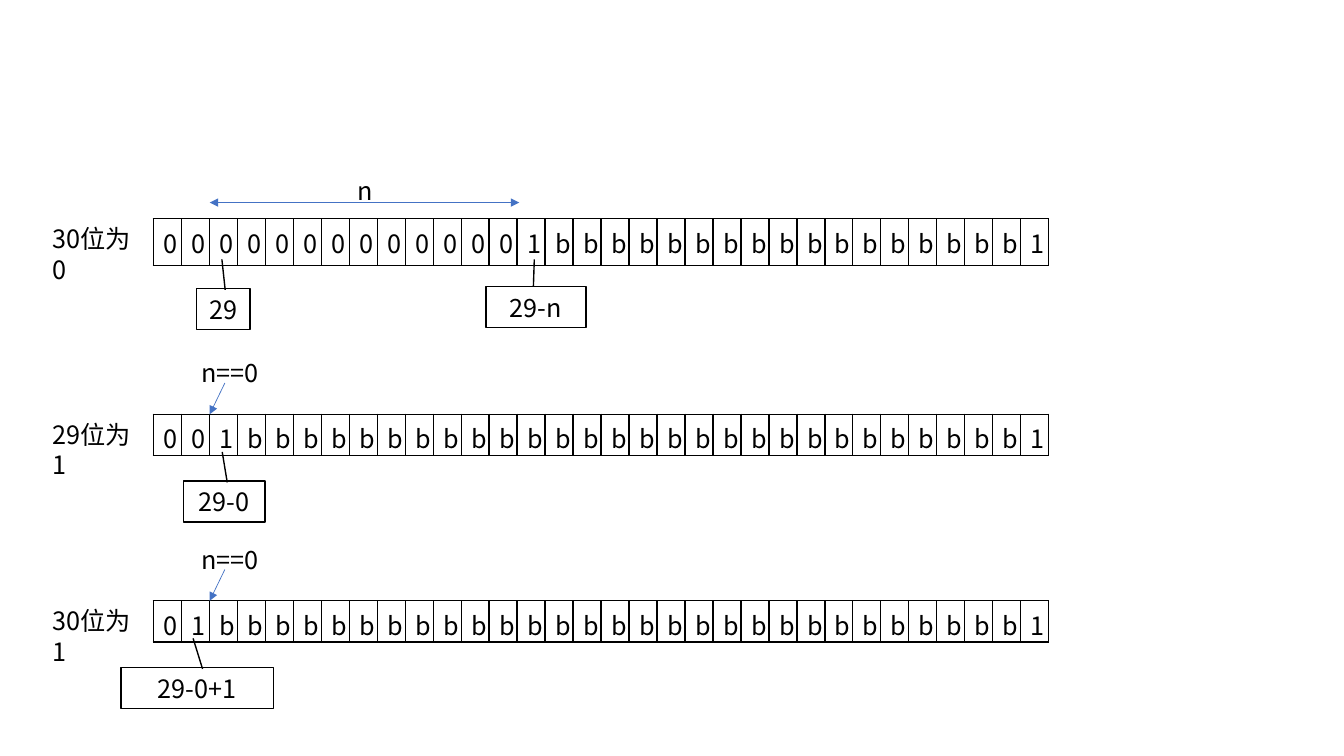
import lxml.etree
import pptx
import pptx.dml.color
import pptx.enum.shapes
import pptx.enum.text
import pptx.oxml.ns
import pptx.util

Inches = pptx.util.Inches
Pt = pptx.util.Pt
qn = pptx.oxml.ns.qn


class BitDiagram:
    """Draws rows of bits with labels, arrows and callouts on one slide."""

    colours = {"ink": "000000", "paper": "FFFFFF", "arrow": "4472C4"}
    font = "Noto Sans CJK SC"
    bit_count = 32

    def __init__(self, slide):
        self.slide = slide

    def colour(self, name):
        return pptx.dml.color.RGBColor.from_string(self.colours[name])

    def set_text(self, frame, text):
        frame.text = text
        for run in frame.paragraphs[0].runs:
            run.font.size = Pt(18)
            run.font.color.rgb = self.colour("ink")
            run.font.name = self.font
            east_asian = lxml.etree.SubElement(run._r.get_or_add_rPr(), qn("a:ea"))
            east_asian.set("typeface", self.font)

    def border(self, cell):
        properties = cell._tc.get_or_add_tcPr()
        for position, side in enumerate(("lnL", "lnR", "lnT", "lnB")):
            edge = lxml.etree.Element(qn(f"a:{side}"), w=str(Pt(1)))
            fill = lxml.etree.SubElement(edge, qn("a:solidFill"))
            lxml.etree.SubElement(fill, qn("a:srgbClr"), val=self.colours["ink"])
            properties.insert(position, edge)

    def bits(self, top, prefix, bottom_margin):
        values = prefix.ljust(self.bit_count - 1, "b") + "1"
        table = self.slide.shapes.add_table(
            1, self.bit_count, Inches(1.52), Inches(top), Inches(8.89), Inches(0.41)
        ).table
        table.first_row = False
        table.horz_banding = False
        for cell, value in zip(table.iter_cells(), values):
            self.set_text(cell.text_frame, value)
            cell.margin_bottom = Inches(bottom_margin)
            cell.fill.background()
            self.border(cell)

    def label(self, left, top, width, text):
        box = self.slide.shapes.add_textbox(
            Inches(left), Inches(top), Inches(width), Inches(0.4)
        )
        box.text_frame.word_wrap = True
        self.set_text(box.text_frame, text)

    def arrow(self, start, end, both_ends=False):
        connector = self.slide.shapes.add_connector(
            pptx.enum.shapes.MSO_CONNECTOR.STRAIGHT,
            *(Inches(value) for value in (*start, *end)),
        )
        connector.line.color.rgb = self.colour("arrow")
        connector.line.width = Pt(0.5)
        properties = connector._element.spPr
        outline = properties.find(qn("a:ln"))
        for end_tag in ("headEnd", "tailEnd") if both_ends else ("tailEnd",):
            lxml.etree.SubElement(outline, qn(f"a:{end_tag}"), type="triangle")
        lxml.etree.SubElement(properties, qn("a:effectLst"))

    def callout(self, left, top, width, text, pointer=(0.04, 0.536, -0.7, 0.474)):
        shape = self.slide.shapes.add_shape(
            pptx.enum.shapes.MSO_SHAPE.LINE_CALLOUT_1,
            Inches(left), Inches(top), Inches(width), Inches(0.41),
        )
        for index, value in enumerate(pointer):
            shape.adjustments[index] = value
        shape.shadow.inherit = False
        shape.fill.solid()
        shape.fill.fore_color.rgb = self.colour("paper")
        shape.line.color.rgb = self.colour("ink")
        shape.line.width = Pt(1)
        self.set_text(shape.text_frame, text)
        shape.text_frame.vertical_anchor = pptx.enum.text.MSO_ANCHOR.MIDDLE
        shape.text_frame.paragraphs[0].alignment = pptx.enum.text.PP_ALIGN.CENTER

    def zero_gap(self, row_top):
        self.arrow((2.23, row_top - 0.31), (2.08, row_top))
        self.label(1.9, row_top - 0.61, 0.81, "n==0")


def main():
    presentation = pptx.Presentation()
    presentation.slide_width = Inches(13.33)
    presentation.slide_height = Inches(7.5)
    diagram = BitDiagram(presentation.slides.add_slide(presentation.slide_layouts[6]))

    rows = (
        (2.17, "0" * 13 + "1", "30位为0", 0.05),
        (4.11, "001", "29位为1", 0),
        (5.96, "01", "30位为1", 0.05),
    )
    for top, prefix, caption, bottom_margin in rows:
        diagram.bits(top, prefix, bottom_margin)
        diagram.label(0.42, top, 1.11, caption)

    diagram.arrow((5.15, 2.01), (2.08, 2.01), both_ends=True)
    diagram.label(3.45, 1.69, 0.34, "n")
    for top in (4.11, 5.96):
        diagram.zero_gap(top)

    diagram.callout(1.95, 2.86, 0.53, "29")
    diagram.callout(4.82, 2.84, 0.99, "29-n", (0.015, 0.475, -0.65, 0.484))
    diagram.callout(1.82, 4.77, 0.81, "29-0")
    diagram.callout(1.2, 6.62, 1.51, "29-0+1")

    presentation.save("out.pptx")


if __name__ == "__main__":
    main()
